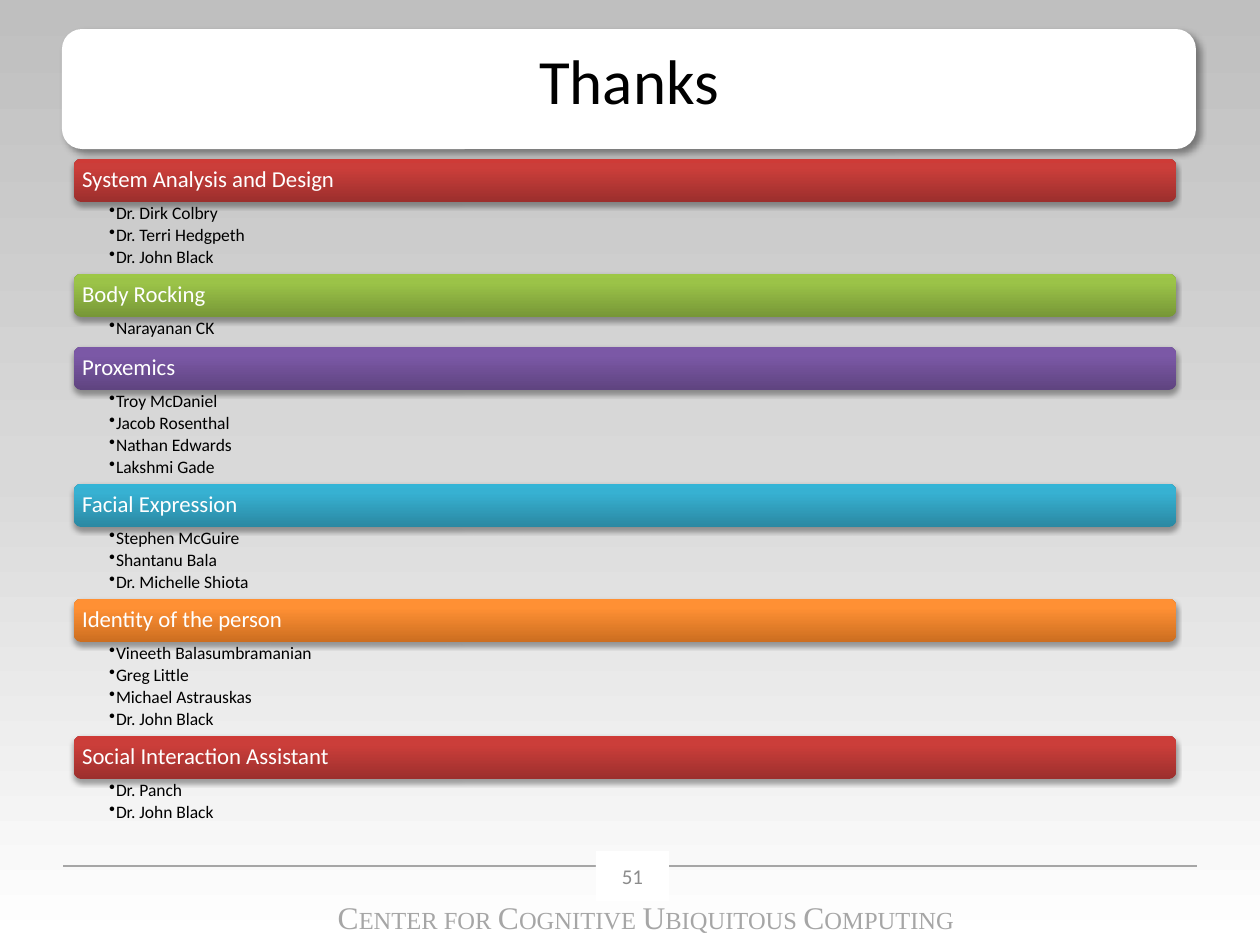
from lxml.etree import SubElement
from pptx import Presentation
from pptx.dml.color import RGBColor
from pptx.enum.shapes import MSO_CONNECTOR, MSO_SHAPE
from pptx.enum.text import MSO_ANCHOR, PP_ALIGN
from pptx.oxml.ns import qn
from pptx.util import Emu, Pt

COLORS = {
    "white": "FFFFFF", "black": "000000", "gray": "A6A6A6", "number": "8C8C8C",
    "page": ["BFBFBF", "D9D9D9", "FFFFFF"],
    "red": ["9C2F2D", "CB3E3A", "CE3B37"],
    "green": ["779737", "9BC348", "9DC746"],
    "purple": ["5F4480", "7B58A6", "7C57A8"],
    "blue": ["2A88A2", "37B1D2", "34B4D6"],
    "orange": ["CC6E20", "FF9034", "FF9136"],
}
GROUPS = [
    ("System Analysis and Design", "red",
     ["Dr. Dirk Colbry", "Dr. Terri Hedgpeth", "Dr. John Black"]),
    ("Body Rocking", "green", ["Narayanan CK"]),
    ("Proxemics", "purple",
     ["Troy McDaniel", "Jacob Rosenthal", "Nathan Edwards", "Lakshmi Gade"]),
    ("Facial Expression", "blue",
     ["Stephen McGuire", "Shantanu Bala", "Dr. Michelle Shiota"]),
    ("Identity of the person", "orange",
     ["Vineeth Balasumbramanian", "Greg Little", "Michael Astrauskas", "Dr. John Black"]),
    ("Social Interaction Assistant", "red", ["Dr. Panch", "Dr. John Black"]),
]
BAR = 43
DEPTHS = {1: 30, 2: 48, 3: 72, 4: 94}  # list height by number of names


def px(*nums):
    return [Emu(round(n * 914400 / 126)) for n in nums]


def panel(kind, box, fill, mid=50, angle=270, shade=None):
    """Borderless shape; fill is one colour or three, shade is (alpha, blur, dist, angle)."""
    shape = slide.shapes.add_shape(kind, *px(*box))
    shape.line.fill.background()
    shape.shadow.inherit = False
    if isinstance(fill, str):
        shape.fill.solid()
        shape.fill.fore_color.rgb = RGBColor.from_string(fill)
    else:
        shape.fill.gradient()
        shape.fill.gradient_angle = angle
        stops = shape._element.spPr.find(".//" + qn("a:gsLst"))
        for old in list(stops):
            stops.remove(old)
        for pos, color in zip((0, mid, 100), fill):
            stop = SubElement(stops, qn("a:gs"), pos=str(pos * 1000))
            SubElement(stop, qn("a:srgbClr"), val=color)
    if shade:
        alpha, blur, dist, turn = shade
        effects = shape._element.spPr.find(qn("a:effectLst"))
        outer = SubElement(effects, qn("a:outerShdw"), blurRad=str(Pt(blur)),
                           dist=str(Pt(dist)), dir=str(turn * 60000),
                           algn="t", rotWithShape="0")
        tint = SubElement(outer, qn("a:srgbClr"), val=COLORS["black"])
        SubElement(tint, qn("a:alpha"), val=str(alpha * 1000))
    return shape


deck = Presentation()
deck.slide_width, deck.slide_height = px(1260, 945)
slide = deck.slides.add_slide(deck.slide_layouts[6])

# Backdrop, title panel and page number
panel(MSO_SHAPE.RECTANGLE, (0, 0, 1260, 945), COLORS["page"])
title = panel(MSO_SHAPE.ROUNDED_RECTANGLE, (62, 29, 1134, 120), COLORS["white"],
              shade=(40, 4, 3, 45))
rule = slide.shapes.add_connector(MSO_CONNECTOR.STRAIGHT, *px(63, 866, 1197, 866))
rule.line.color.rgb = RGBColor.from_string(COLORS["gray"])
rule.line.width = Pt(0.75)
SubElement(rule._element.spPr, qn("a:effectLst"))
number = panel(MSO_SHAPE.RECTANGLE, (596, 851, 73, 50), COLORS["white"])
for shape, text, size, color, anchor in [
    (title, "Thanks", 36, "black", MSO_ANCHOR.TOP),
    (number, "51", 12, "number", MSO_ANCHOR.MIDDLE),
]:
    shape.text_frame.vertical_anchor = anchor
    para = shape.text_frame.paragraphs[0]
    para.text = text
    para.alignment = PP_ALIGN.CENTER
    para.font.size = Pt(size)
    para.font.name = "Calibri"
    para.font.color.rgb = RGBColor.from_string(COLORS[color])

# Footer in small capitals
foot = slide.shapes.add_textbox(*px(273, 892, 746, 50)).text_frame
foot.word_wrap = True
para = foot.paragraphs[0]
para.alignment = PP_ALIGN.CENTER
para.font.name = "Times New Roman"
para.font.color.rgb = RGBColor.from_string(COLORS["gray"])
for head, tail in [("C", "ENTER FOR "), ("C", "OGNITIVE "),
                   ("U", "BIQUITOUS "), ("C", "OMPUTING")]:
    for text, size in ((head, 18), (tail, 14)):
        run = para.add_run()
        run.text = text
        run.font.size = Pt(size)

# Topic bars, each with its list of names
top = 159
for topic, color, names in GROUPS:
    bar = panel(MSO_SHAPE.ROUNDED_RECTANGLE, (74, top, 1102, BAR), COLORS[color],
                mid=80, angle=90, shade=(35, 3.1, 1.8, 90))
    frame = bar.text_frame
    frame.margin_left, frame.margin_top, frame.margin_right, frame.margin_bottom = px(6, 6, 6, 6)
    frame.vertical_anchor = MSO_ANCHOR.MIDDLE
    para = frame.paragraphs[0]
    para.text = topic
    para.alignment = PP_ALIGN.LEFT
    para.line_spacing = 0.9
    para.font.size = Pt(13)
    para.font.name = "Calibri"
    para.font.color.rgb = RGBColor.from_string(COLORS["white"])
    top += BAR

    depth = DEPTHS[len(names)]
    frame = slide.shapes.add_textbox(*px(74, top, 1102, depth)).text_frame
    frame.word_wrap = True
    frame.margin_left, frame.margin_top, frame.margin_right, frame.margin_bottom = px(35, 2, 12, 2)
    for i, name in enumerate(names):
        para = frame.add_paragraph() if i else frame.paragraphs[0]
        para.text = name
        para.level = 1
        para.line_spacing = 0.9
        para.space_after = Pt(1.8)
        props = para._p.get_or_add_pPr()
        props.set("marL", str(px(7)[0]))
        props.set("indent", str(px(-7)[0]))
        SubElement(props, qn("a:buChar"), char="•")
        para.font.size = Pt(10)
        para.font.name = "Calibri"
        para.font.color.rgb = RGBColor.from_string(COLORS["black"])
    top += depth

deck.save("out.pptx")
